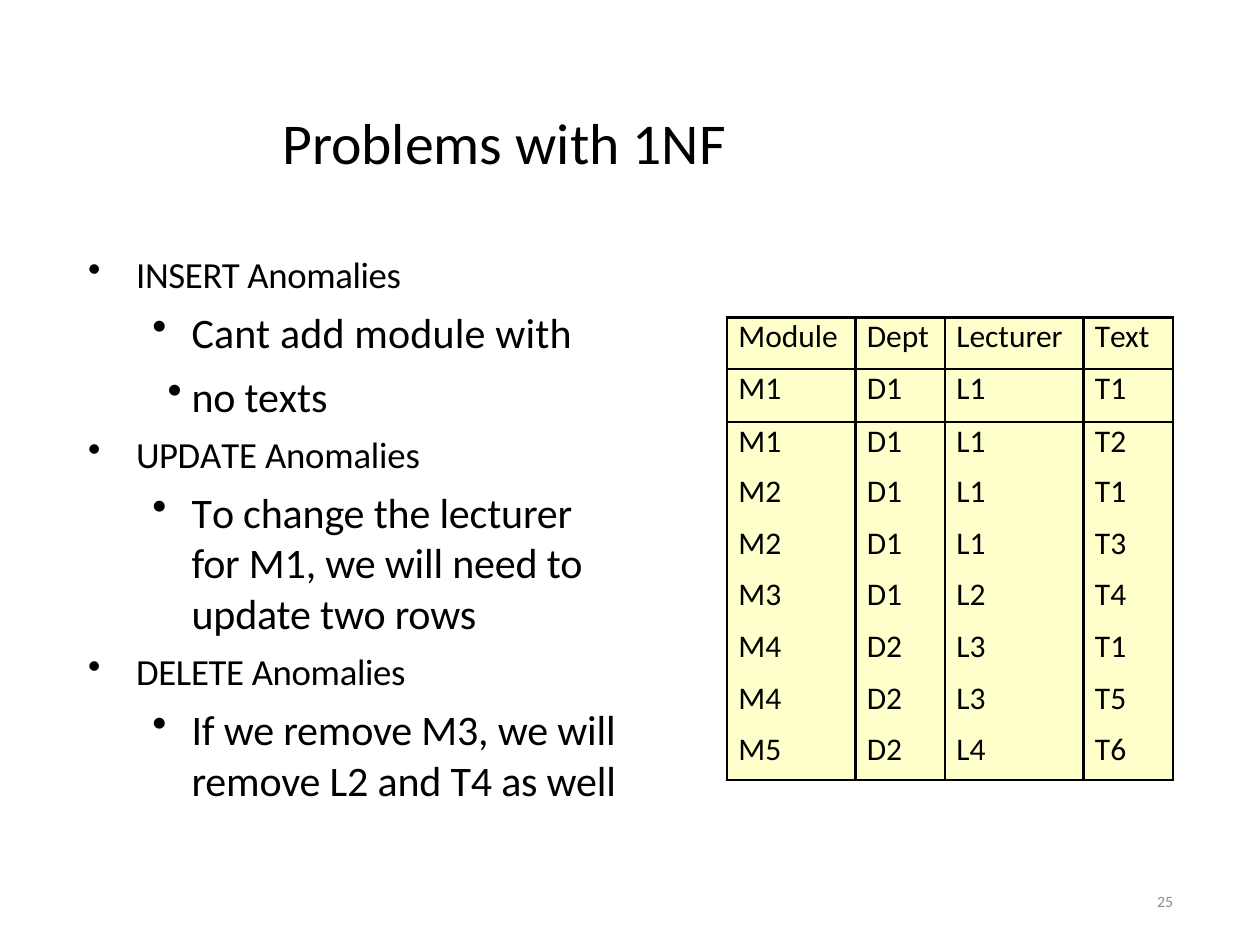
"""Build the slide on problems with first normal form."""
from pptx import Presentation
from pptx.dml.color import RGBColor
from pptx.enum.text import MSO_ANCHOR, PP_ALIGN
from pptx.oxml.xmlchemy import OxmlElement
from pptx.util import Inches, Pt

BLACK, GREY, CREAM = "000000", "8C8C8C", "FFFFCC"
TITLE = "Problems with 1NF"
NUMBER = "25"
HEAD = dict(size=21, left=0.39, hang=0.38, bullet="•", before=6.5)
ITEM = dict(size=24, left=0.83, hang=0.31, bullet="•", before=6, level=1)
POINTS = [
    ([("INSERT Anomalies", -0.2)], {**HEAD, "before": 0}),
    ([("Cant add module with", 0.1)], ITEM),
    ([("no te", -0.1), ("xts", 0)], {**ITEM, "hang": 0.19, "before": 7.5, "level": 0}),
    ([("UPD", -0.3), ("A", -2.4), ("TE Anomalies", -0.1)], HEAD),
    ([("T", -2.2), ("o change the lecturer for M1, we will need to update two rows", -0.1)],
     {**ITEM, "right": 0.3}),
    ([("DELETE Anomalies", -0.2)], HEAD),
    ([("If we remove M3, we will remove L2 and T4 as well", -0.1)], ITEM),
]
ROWS = [
    ("Module", "Dept", "Lecturer", [("T", -1.6), ("ext", -0.1)]),
    ("M1", "D1", "L1", "T1"),
    ("M1", "D1", "L1", "T2"),
    ("M2", "D1", "L1", "T1"),
    ("M2", "D1", "L1", "T3"),
    ("M3", "D1", "L2", "T4"),
    ("M4", "D2", "L3", "T1"),
    ("M4", "D2", "L3", "T5"),
    ("M5", "D2", "L4", "T6"),
]
WIDTHS = [1.02, 0.71, 1.1, 0.71]
HEIGHTS = [0.41, 0.42, 0.4] + [0.41] * 5 + [0.39]
RULED = {0, 1, 2, len(ROWS)}


def paint(color):
    return RGBColor.from_string(color)


def write(para, text, size=18, color=BLACK, left=0, right=0, hang=0,
          bullet=None, before=0, level=0, align=PP_ALIGN.LEFT):
    props = para._p.get_or_add_pPr()
    for name, value in (("marL", left), ("marR", right), ("indent", -hang)):
        props.set(name, str(Inches(value)))
    if bullet:
        mark = OxmlElement("a:buChar")
        mark.set("char", bullet)
        props.append(mark)
    para.level, para.alignment = level, align
    if before:
        para.space_before = Pt(before)
    for part, gap in [(text, 0)] if isinstance(text, str) else text:
        run = para.add_run()
        run.text = part
        run.font.size, run.font.name = Pt(size), "Calibri"
        run.font.color.rgb = paint(color)
        if gap:
            run._r.get_or_add_rPr().set("spc", str(round(gap * 100)))


def add_box(slide, place, lines, anchor=MSO_ANCHOR.TOP):
    frame = slide.shapes.add_textbox(*map(Inches, place)).text_frame
    frame.word_wrap, frame.vertical_anchor = True, anchor
    frame.margin_left = frame.margin_right = 0
    frame.margin_top = frame.margin_bottom = 0
    for pos, (text, style) in enumerate(lines):
        para = frame.add_paragraph() if pos else frame.paragraphs[0]
        write(para, text, **style)


def add_edge(cell, side, shown):
    line = OxmlElement(f"a:ln{side}")
    line.set("w", str(Pt(1.5) if shown else 0))
    fill = OxmlElement("a:solidFill" if shown else "a:noFill")
    if shown:
        tint = OxmlElement("a:srgbClr")
        tint.set("val", BLACK)
        fill.append(tint)
    line.append(fill)
    cell._tc.get_or_add_tcPr().append(line)


def add_grid(slide, left, top):
    size = map(Inches, (left, top, sum(WIDTHS), sum(HEIGHTS)))
    table = slide.shapes.add_table(len(ROWS), len(WIDTHS), *size).table
    table.first_row = table.horz_banding = False
    for col, width in zip(table.columns, WIDTHS):
        col.width = Inches(width)
    for pos, (row, height) in enumerate(zip(table.rows, HEIGHTS)):
        row.height = Inches(height)
        for cell, text in zip(row.cells, ROWS[pos]):
            cell.margin_left = cell.margin_right = 0
            cell.margin_top = cell.margin_bottom = 0
            for side in "LRTB":
                rule = pos + (side == "B")
                add_edge(cell, side, side in "LR" or rule in RULED)
            cell.fill.solid()
            cell.fill.fore_color.rgb = paint(CREAM)
            write(cell.text_frame.paragraphs[0], text, left=0.09)


def main():
    deck = Presentation()
    deck.slide_width, deck.slide_height = Inches(10), Inches(7.5)
    slide = deck.slides.add_slide(deck.slide_layouts[6])
    add_box(slide, (0.69, 0.4, 8.62, 1.45),
            [(TITLE, dict(size=33, left=1.55))], MSO_ANCHOR.MIDDLE)
    add_box(slide, (0.69, 2, 4.25, 4.42), POINTS)
    add_box(slide, (7.06, 6.95, 2.25, 0.4),
            [(NUMBER, dict(size=9, color=GREY, align=PP_ALIGN.RIGHT))],
            MSO_ANCHOR.MIDDLE)
    add_grid(slide, 5.77, 2.52)
    deck.save("out.pptx")


if __name__ == "__main__":
    main()
